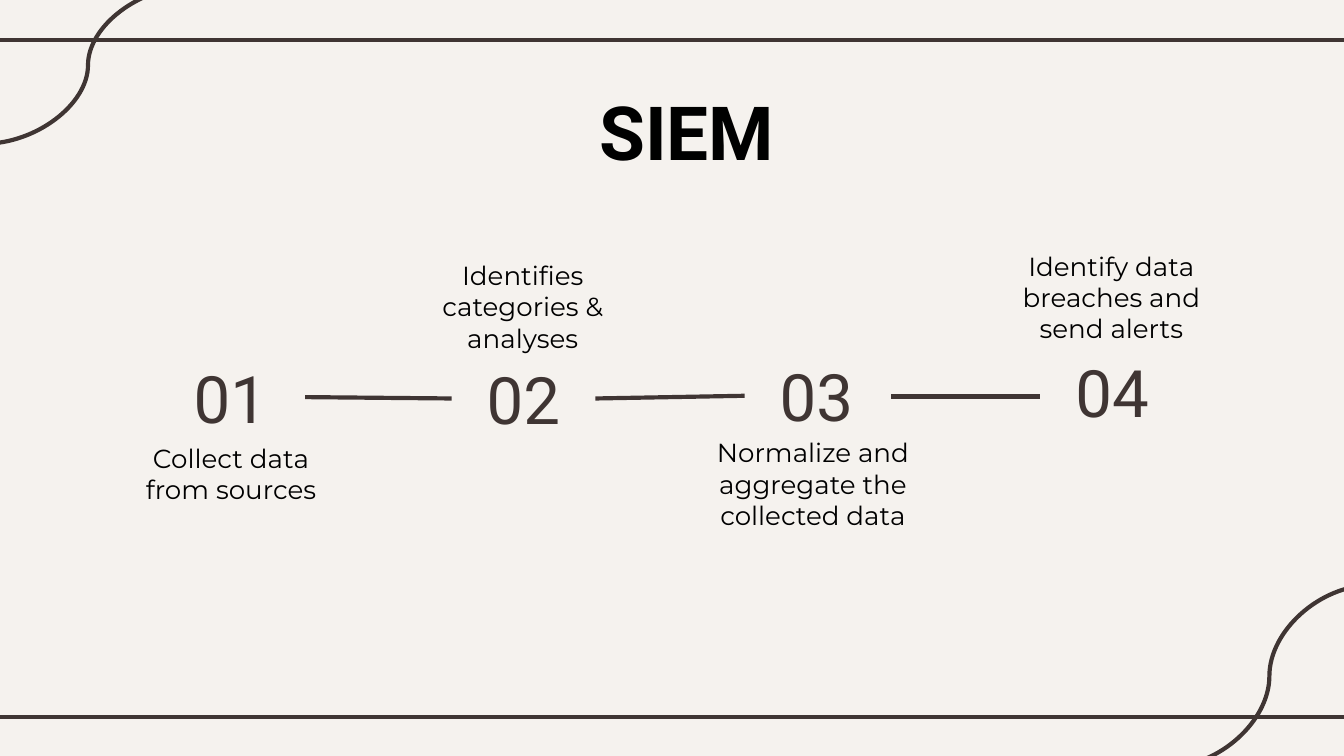
from dataclasses import dataclass

from lxml import etree
from pptx import Presentation
from pptx.dml.color import RGBColor
from pptx.enum.shapes import MSO_CONNECTOR
from pptx.enum.text import MSO_ANCHOR, PP_ALIGN
from pptx.oxml.ns import qn
from pptx.util import Inches, Pt

STRAIGHT, CURVE = MSO_CONNECTOR.STRAIGHT, MSO_CONNECTOR.CURVE
TOP, MIDDLE = MSO_ANCHOR.TOP, MSO_ANCHOR.MIDDLE
CENTER = PP_ALIGN.CENTER
LEFT_SIDE, RIGHT_SIDE = 1, 3


@dataclass(frozen=True)
class Theme:
    background: RGBColor = RGBColor.from_string("F5F2EE")
    ink: RGBColor = RGBColor.from_string("3F3533")
    text: RGBColor = RGBColor.from_string("000000")
    heading_font: str = "Roboto"
    body_font: str = "Montserrat"
    title_size: float = 40
    number_size: float = 35
    caption_size: float = 14
    line_width: float = 2.25


THEME = Theme()
SLIDE_WIDTH = 10
SLIDE_HEIGHT = SLIDE_WIDTH * 9 / 16

STEPS = [
    ("01", (0.24, 0.83, 1.11, 0.73),
     "Collect data from sources", (0, 1.43, 1.6, 0.63)),
    ("02", (2.44, 0.84, 1.07, 0.73),
     "Identifies categories & analyses", (2.03, 0.07, 1.88, 0.89)),
    ("03", (4.62, 0.82, 1.07, 0.73),
     "Normalize and aggregate the collected data", (4.19, 1.39, 1.88, 0.63)),
    ("04", (6.81, 0.79, 1.09, 0.73),
     "Identify data breaches and send alerts", (6.41, 0, 1.88, 0.63)),
]


def write_text(shape, text, font_name, size, color, anchor=TOP, bold=False):
    frame = shape.text_frame
    frame.word_wrap = True
    frame.vertical_anchor = anchor
    frame.margin_left = frame.margin_right = Inches(0.1)
    frame.margin_top = frame.margin_bottom = Inches(0.1)
    paragraph = frame.paragraphs[0]
    paragraph.text = text
    paragraph.alignment = CENTER
    font = paragraph.font
    font.name, font.size, font.bold = font_name, Pt(size), bold
    font.color.rgb = color


def add_line(slide, start, end, kind=STRAIGHT):
    line = slide.shapes.add_connector(kind, *map(Inches, start + end))
    line.line.color.rgb = THEME.ink
    line.line.width = Pt(THEME.line_width)
    etree.SubElement(line._element.spPr, qn("a:effectLst"))
    return line


def add_frame(slide, left, top, width, height):
    right, bottom = left + width, top + height
    for y in (top + 0.3, bottom - 0.29):
        add_line(slide, (left - 0.08, y), (right + 0.08, y))
    add_line(slide, (right + 0.2, bottom - 1.27), (right - 1.31, bottom + 0.08), CURVE)
    add_line(slide, (left + 1.43, top - 0.1), (left - 0.12, top + 1.07), CURVE)


def add_title(slide, left, top, width, height):
    title = slide.shapes.title
    title.left, title.top = Inches(left), Inches(top)
    title.width, title.height = Inches(width), Inches(height)
    write_text(title, "SIEM", THEME.heading_font, THEME.title_size, THEME.text, bold=True)


def add_timeline(slide, left, top):
    def add_label(box, *style):
        x, y, width, height = box
        label = slide.shapes.add_textbox(
            Inches(left + x), Inches(top + y), Inches(width), Inches(height))
        write_text(label, *style)
        return label

    numbers = []
    for number, number_box, caption, caption_box in STEPS:
        add_label(caption_box, caption, THEME.body_font, THEME.caption_size, THEME.text)
        numbers.append(add_label(number_box, number, THEME.heading_font,
                                 THEME.number_size, THEME.ink, MIDDLE))

    axis = top + 1.19
    for before, after in zip(numbers[:2], numbers[1:3]):
        link = add_line(slide, (left, axis), (left, axis))
        link.begin_connect(before, RIGHT_SIDE)
        link.end_connect(after, LEFT_SIDE)
    add_line(slide, (left + 5.71, axis), (left + 6.82, axis))


def main():
    deck = Presentation()
    deck.slide_width, deck.slide_height = Inches(SLIDE_WIDTH), Inches(SLIDE_HEIGHT)
    slide = deck.slides.add_slide(deck.slide_layouts[5])
    slide.background.fill.solid()
    slide.background.fill.fore_color.rgb = THEME.background
    add_frame(slide, 0, 0, SLIDE_WIDTH, SLIDE_HEIGHT)
    add_title(slide, 3.2, 0.54, 3.82, 0.9)
    add_timeline(slide, 0.92, 1.76)
    deck.save("out.pptx")


if __name__ == "__main__":
    main()
